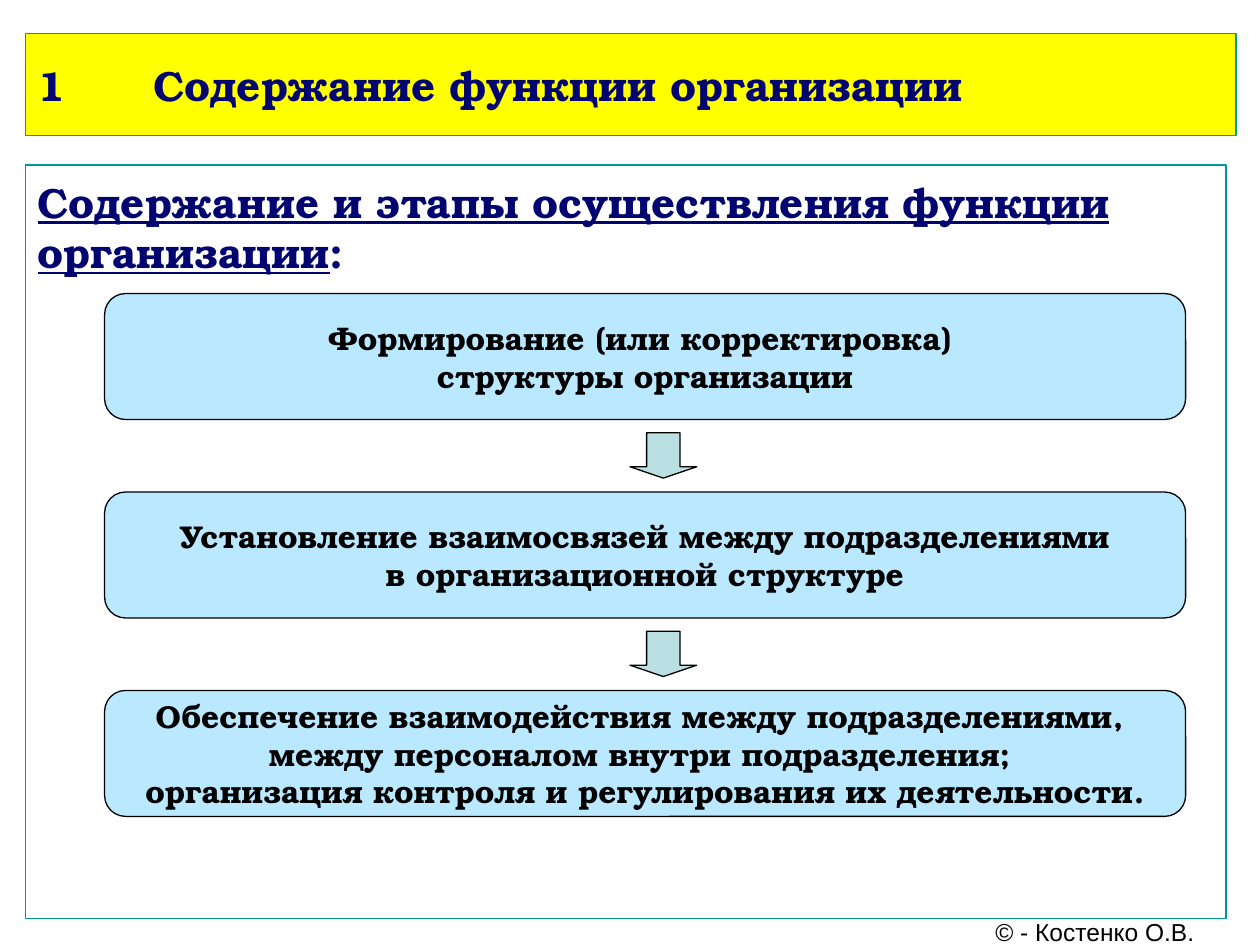
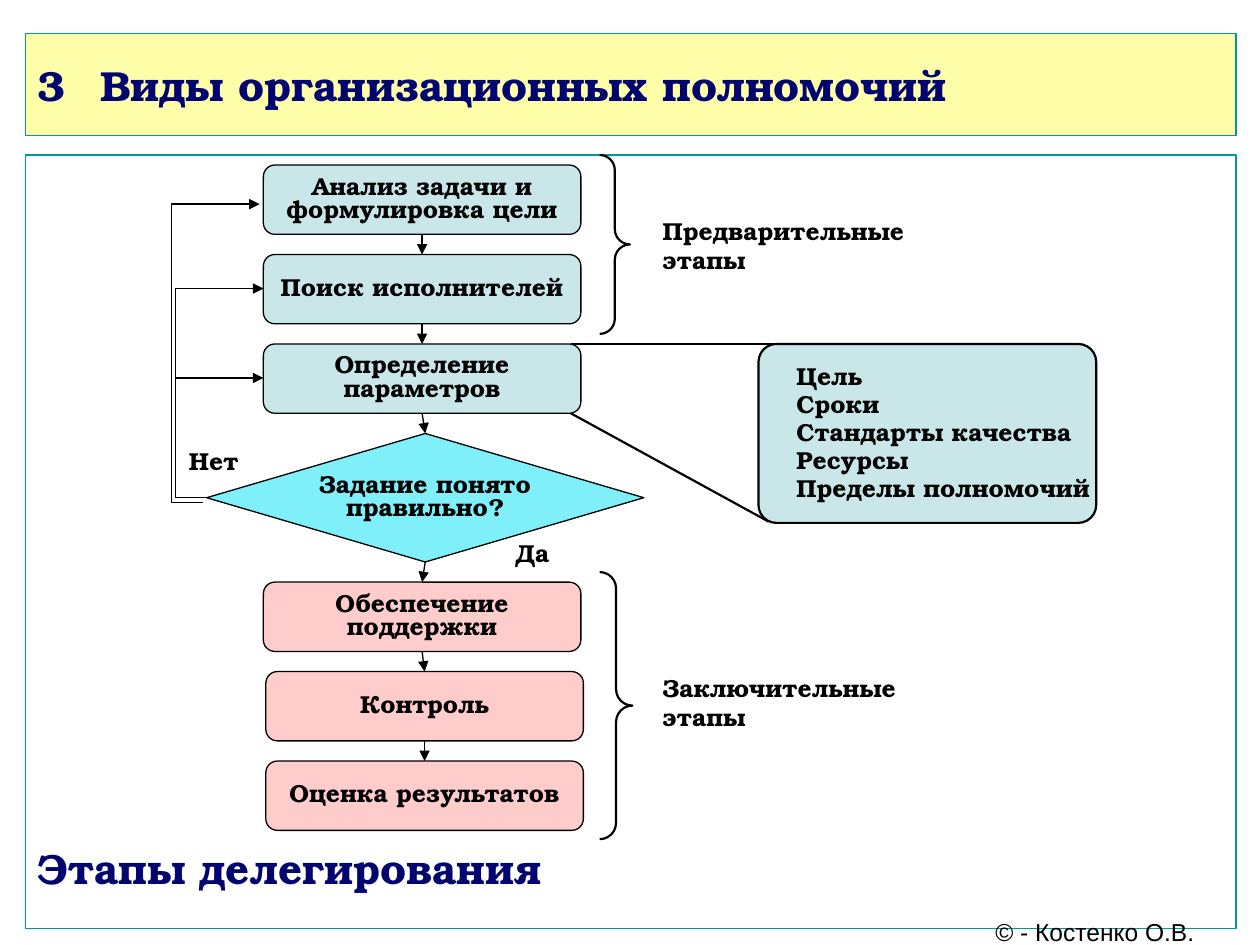
from dataclasses import dataclass

from lxml.etree import SubElement
from pptx import Presentation
from pptx.dml.color import RGBColor
from pptx.enum.shapes import MSO_CONNECTOR, MSO_SHAPE
from pptx.enum.text import MSO_ANCHOR, PP_ALIGN
from pptx.oxml.ns import qn
from pptx.util import Inches, Pt

COLS, ROWS = 100, 75
CELL = Inches(0.1)
SERIF, SANS = "TeX Gyre Bonum", "Arial"
INK = {
    "navy": "020570", "black": "000000", "teal": "009999", "white": "FFFFFF",
    "yellow": "FFFF00", "cream": "FFFFA9", "sky": "B9E8FF", "arrow": "BBE0E3",
    "mint": "C9E7E9", "aqua": "7FF0F9", "pink": "FFCCCC",
}
GAP = 1.6
EDGE = 1.25


@dataclass(frozen=True)
class Box:
    """A place on the grid, in columns and rows."""
    x: float
    y: float
    w: float
    h: float

    @property
    def mid(self) -> float:
        return self.x + self.w / 2

    @property
    def end(self) -> float:
        return self.y + self.h

    def emu(self) -> list:
        return [grid(n) for n in (self.x, self.y, self.w, self.h)]


@dataclass(frozen=True)
class Step:
    text: str
    fill: str
    x: float = 20.9
    w: float = 25.2
    h: float = 5.5
    kind: MSO_SHAPE = MSO_SHAPE.ROUNDED_RECTANGLE


@dataclass(frozen=True)
class Loop:
    """A way back from the decision to an earlier step."""
    x: float
    low: float
    top: float


@dataclass(frozen=True)
class Brace:
    box: Box
    label: Box
    text: str


STAGES = (
    "Формирование (или корректировка) \nструктуры организации",
    "Установление взаимосвязей между подразделениями\nв организационной структуре",
    "Обеспечение взаимодействия между подразделениями, \n"
    "между персоналом внутри подразделения; \n"
    "организация контроля и регулирования их деятельности.",
)
STEPS = (
    Step("Анализ задачи и формулировка цели", "mint"),
    Step("Поиск исполнителей", "mint"),
    Step("Определение параметров", "mint"),
    Step("Задание понято правильно?", "aqua", 16.4, 34.7, 10.2,
         MSO_SHAPE.FLOWCHART_DECISION),
    Step("Обеспечение поддержки", "pink"),
    Step("Контроль", "pink", 21.1),
    Step("Оценка результатов", "pink", 21.1),
)
LOOPS = (Loop(16.4, 39.5, 30), Loop(16.4, 39.5, 22.9), Loop(16.1, 39.9, 16.2))
BRACES = (
    Brace(Box(47.6, 12.3, 2.4, 14.2), Box(52.6, 16.3, 19.7, 6.3),
          "Предварительные этапы"),
    Brace(Box(47.6, 45.4, 2.6, 21.2), Box(52.6, 51.4, 21.2, 8.7),
          "Заключительные этапы"),
)
ANSWERS = (("Нет", Box(14.5, 35.1, 4.9, 2.9)), ("Да", Box(39.8, 42.4, 4.9, 2.9)))
GOALS = "Цель\nСроки\nСтандарты качества\nРесурсы\nПределы полномочий"


def grid(n: float) -> int:
    return round(n * CELL)


def tint(name: str) -> RGBColor:
    return RGBColor.from_string(INK[name])


def put(shape, text: str, size: float = 14, ink: str = "black", font: str = SERIF,
        bold: bool = True, under: bool = False, tail: str = "",
        align=PP_ALIGN.CENTER, anchor=MSO_ANCHOR.MIDDLE, pad=(0, 0, 0, 0),
        space: float = 1, wrap: bool = True) -> None:
    """Write lines into a shape; pad is left, top, right, bottom in cells.

    The tail follows the last line and is never underlined.
    """
    frame = shape.text_frame
    frame.word_wrap, frame.vertical_anchor = wrap, anchor
    (frame.margin_left, frame.margin_top,
     frame.margin_right, frame.margin_bottom) = map(grid, pad)
    lines = text.split("\n")
    for i, line in enumerate(lines):
        para = frame.paragraphs[0] if i == 0 else frame.add_paragraph()
        para.alignment, para.line_spacing = align, space
        parts = [(line, under)]
        if tail and i == len(lines) - 1:
            parts.append((tail, False))
        for words, mark in parts:
            run = para.add_run()
            run.text = words
            face = run.font
            face.name, face.size, face.bold = font, Pt(size), bold
            face.underline = mark
            face.color.rgb = tint(ink)


def draw(slide, box: Box, kind=MSO_SHAPE.RECTANGLE, fill: str = "",
         edge: str = "black", width: float = 0.75):
    shape = slide.shapes.add_shape(kind, *box.emu())
    shape.shadow.inherit = False
    if fill:
        shape.fill.solid()
        shape.fill.fore_color.rgb = tint(fill)
    else:
        shape.fill.background()
    shape.line.color.rgb, shape.line.width = tint(edge), Pt(width)
    return shape


def note(slide, box: Box, text: str, **style) -> None:
    put(slide.shapes.add_textbox(*box.emu()), text, **style)


def link(slide, start: tuple, stop: tuple, kind=MSO_CONNECTOR.STRAIGHT,
         width: float = 0.75):
    line = slide.shapes.add_connector(kind, *map(grid, start + stop))
    line.line.color.rgb, line.line.width = tint("black"), Pt(width)
    SubElement(line.element.spPr, qn("a:effectLst"))
    return line


def tip(line, end: str = "a:tailEnd") -> None:
    """Add an arrowhead."""
    SubElement(line.element.spPr.find(qn("a:ln")), qn(end), type="triangle")


def bend(slide, loop: Loop) -> None:
    """Draw a bent arrow that leaves to the left and comes back higher up."""
    line = link(slide, (loop.x + 4.5, loop.top), (loop.x, loop.low),
                MSO_CONNECTOR.ELBOW)
    props = line.element.spPr
    props.find(qn("a:xfrm")).set("rot", "10800000")
    guides = props.find(qn("a:prstGeom")).find(qn("a:avLst"))
    SubElement(guides, qn("a:gd"), name="adj1", fmla="val -55400")
    tip(line)


def number(shape) -> None:
    """Number the title, with a hanging indent."""
    props = shape.text_frame.paragraphs[0]._p.get_or_add_pPr()
    props.set("marL", str(grid(9.2)))
    props.set("indent", str(grid(-9.2)))
    SubElement(SubElement(props, qn("a:buClr")), qn("a:srgbClr"), val=INK["navy"])
    SubElement(props, qn("a:buFont"), typeface=SERIF)
    SubElement(props, qn("a:buAutoNum"), type="arabicPlain")


def base(deck, title: str, fill: str, body: Box):
    """Start a slide with its title band, frame and footer."""
    slide = deck.slides.add_slide(deck.slide_layouts[6])
    band = draw(slide, Box(2, 2.65, 96.1, 8.1), fill=fill, edge="teal")
    put(band, title, size=24, ink="navy", align=PP_ALIGN.LEFT, pad=(1, 0.5, 1, 0.5))
    frame = draw(slide, body, fill="white", edge="teal")
    note(slide, Box(76.8, 72.9, 20.2, 2.1), "© - Костенко О.В.", font=SANS,
         bold=False, pad=(1, 0.5, 1, 0.5), wrap=False)
    return slide, band, frame


def stages(deck) -> None:
    slide, band, frame = base(deck, "Содержание функции организации", "yellow",
                              Box(2, 13.1, 95.3, 59.8))
    number(band)
    put(frame, "Содержание и этапы осуществления функции организации", tail=":",
        size=24, ink="navy", under=True, align=PP_ALIGN.LEFT,
        anchor=MSO_ANCHOR.TOP, pad=(1, 0.9, 1, 0.5))
    for i, text in enumerate(STAGES):
        box = Box(8.3, 23.3 + 15.75 * i, 85.8, 10)
        put(draw(slide, box, MSO_SHAPE.ROUNDED_RECTANGLE, "sky"), text, size=18,
            pad=(1, 0.5, 1, 0.5))
        if i < len(STAGES) - 1:
            arrow = draw(slide, Box(50, box.end + 1.05, 5.3, 3.6),
                         MSO_SHAPE.DOWN_ARROW, "arrow")
            arrow.adjustments[1] = 0.25


def flow(deck) -> None:
    slide, _, frame = base(deck, "3\tВиды организационных полномочий", "cream",
                           Box(2, 12.3, 96.1, 61.4))
    put(frame, "Этапы делегирования", size=24, ink="navy", align=PP_ALIGN.LEFT,
        anchor=MSO_ANCHOR.BOTTOM, pad=(1, 0.5, 1, 2.8))
    for start, stop in (((45.3, 27.3), (83.9, 27.3)), ((45.3, 32.8), (61, 41.4))):
        link(slide, start, stop, width=EDGE)

    last, y = None, 13.1
    for step in STEPS:
        box = Box(step.x, y, step.w, step.h)
        put(draw(slide, box, step.kind, step.fill), step.text, space=0.8)
        if last:
            tip(link(slide, (last.mid, last.end), (box.mid, box.y)))
        last, y = box, box.end + GAP

    for loop in LOOPS:
        bend(slide, loop)
    for text, box in ANSWERS:
        note(slide, box, text)
    for brace in BRACES:
        shape = draw(slide, brace.box, MSO_SHAPE.RIGHT_BRACE, width=EDGE)
        shape.adjustments[0] = 0.5
        note(slide, brace.label, brace.text, align=PP_ALIGN.LEFT)

    goals = draw(slide, Box(60.2, 27.3, 26.8, 14.2), MSO_SHAPE.ROUNDED_RECTANGLE,
                 "mint", width=EDGE)
    goals.adjustments[0] = 0.1
    put(goals, GOALS, align=PP_ALIGN.LEFT, pad=(2.6, 0, 0, 0), space=0.95)


def main() -> None:
    deck = Presentation()
    deck.slide_width, deck.slide_height = COLS * CELL, ROWS * CELL
    stages(deck)
    flow(deck)
    deck.save("out.pptx")


if __name__ == "__main__":
    main()
